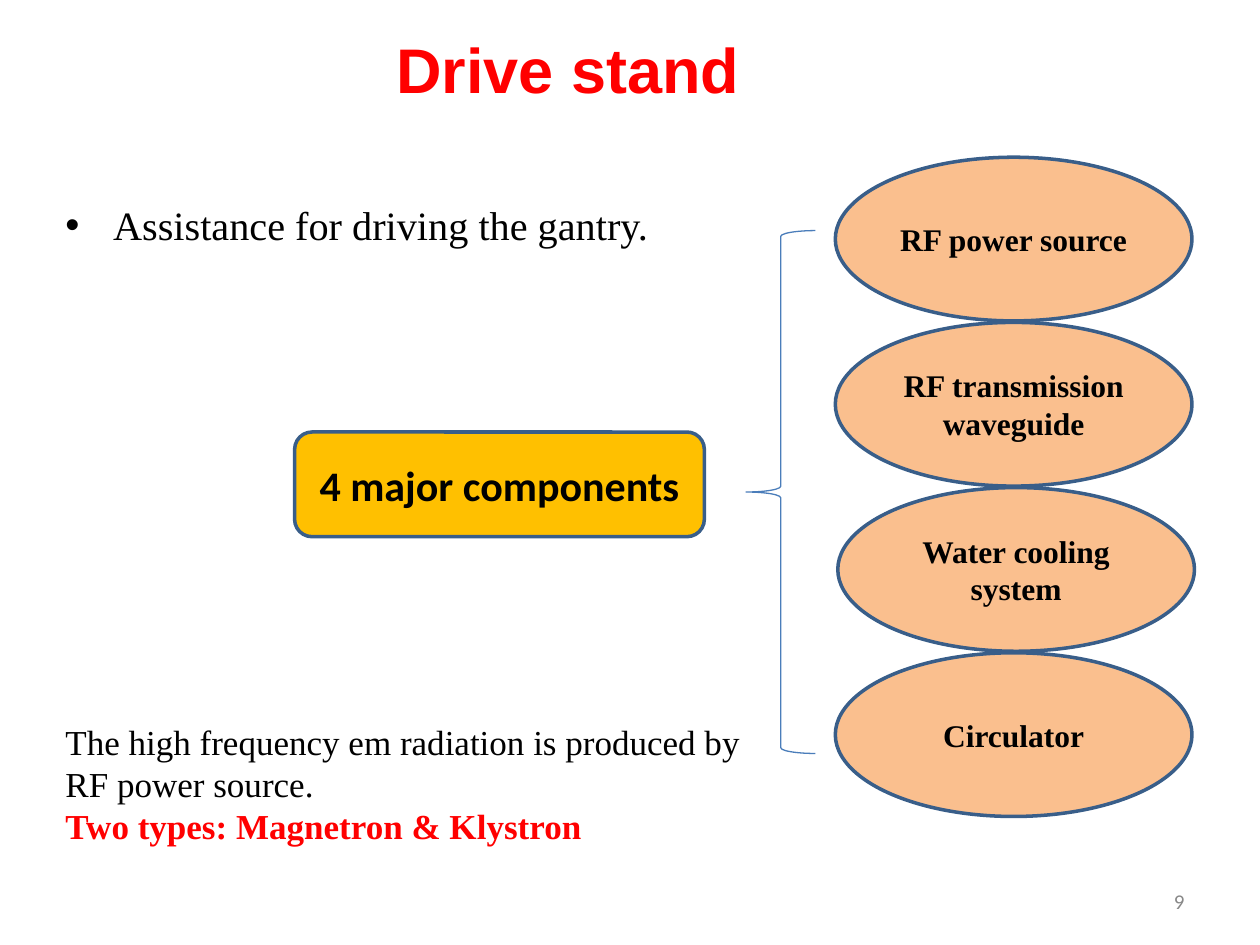
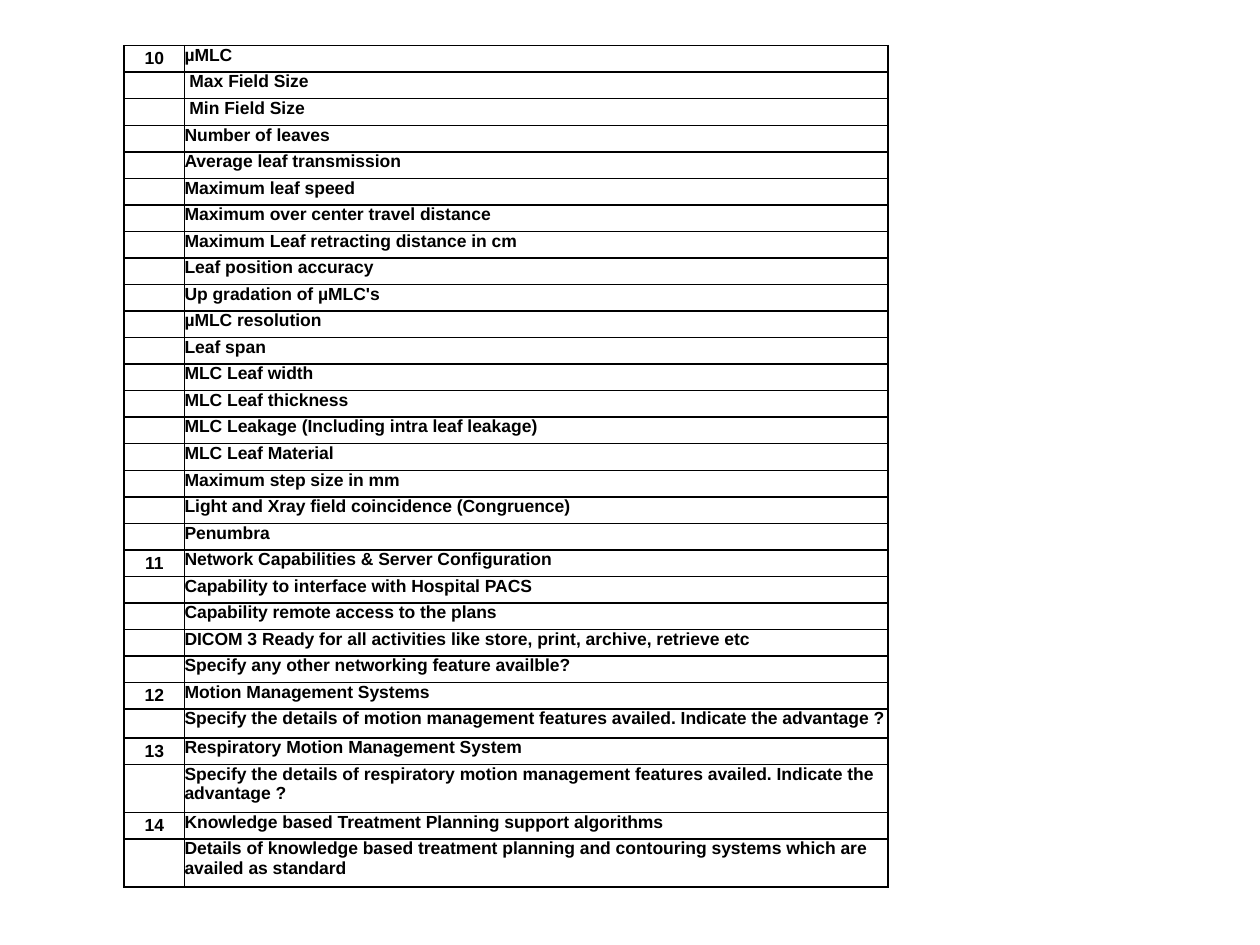
import pptx
import pptx.util
import pptx.dml.color
import pptx.enum.shapes
import pptx.enum.text
import pptx.oxml.ns
from lxml import etree

Cm, Pt = pptx.util.Cm, pptx.util.Pt
ALIGN = pptx.enum.text.PP_ALIGN
ANCHOR = pptx.enum.text.MSO_ANCHOR
SHAPE = pptx.enum.shapes.MSO_SHAPE
qn = pptx.oxml.ns.qn

COLOURS = {
    "heading": "FF0000",
    "text": "000000",
    "ellipse": "FABF8E",
    "hub": "FFC000",
    "outline": "395E89",
    "brace": "4A7DBA",
    "footer": "888888",
    "border": "000000",
}
SERIF, SANS, UI = "Times New Roman", "Arial", "Calibri"

# Ellipse labels with their left edges in cm
COMPONENTS = [
    ("RF power source", 16.84),
    ("RF transmission waveguide", 16.84),
    ("Water cooling system", 16.89),
    ("Circulator", 16.84),
]

# Numbered sections of the specification: number, heading, items
SECTIONS = [
    ("10", "µMLC", [
        "Max Field Size",
        "Min Field Size",
        "Number of leaves",
        "Average leaf transmission",
        "Maximum leaf speed",
        "Maximum over center travel distance",
        "Maximum Leaf retracting distance in cm",
        "Leaf position accuracy",
        "Up gradation of µMLC's",
        "µMLC resolution",
        "Leaf span",
        "MLC Leaf width",
        "MLC Leaf thickness",
        "MLC Leakage (Including intra leaf leakage)",
        "MLC Leaf Material",
        "Maximum step size in mm",
        "Light and Xray field coincidence (Congruence)",
        "Penumbra",
    ]),
    ("11", "Network Capabilities & Server Configuration", [
        "Capability to interface with Hospital PACS",
        "Capability remote access to the plans",
        "DICOM 3 Ready for all activities like store, print, archive, retrieve etc",
        "Specify any other networking feature availble?",
    ]),
    ("12", "Motion Management Systems", [
        "Specify the details of motion management features availed. Indicate the advantage ?",
    ]),
    ("13", "Respiratory Motion Management System", [
        "Specify the details of respiratory motion management features availed. "
        "Indicate the advantage ?",
    ]),
    ("14", "Knowledge based Treatment Planning support algorithms", [
        "Details of knowledge based treatment planning and contouring systems "
        "which are availed as standard",
    ]),
]
INDENTED_ITEMS = ("Max Field Size", "Min Field Size")
ROW_HEIGHT = int(Cm(13.38) / 25)
TALL_ROWS = {25: Cm(0.58), 27: Cm(0.97), 29: Cm(0.97)}


def rgb(name):
    return pptx.dml.color.RGBColor.from_string(COLOURS[name])


def write(paragraph, text, size=18, font=SERIF, colour="text", bold=False,
          align=ALIGN.LEFT):
    """Put one formatted run in a paragraph."""
    paragraph.alignment = align
    run = paragraph.add_run()
    run.text = text
    run.font.size = Pt(size)
    run.font.name = font
    run.font.bold = bold
    run.font.color.rgb = rgb(colour)


def add_bullet(paragraph, indent):
    properties = paragraph._p.get_or_add_pPr()
    properties.set("marL", str(indent))
    properties.set("indent", str(-indent))
    etree.SubElement(properties, qn("a:buFont"), typeface=SANS)
    etree.SubElement(properties, qn("a:buChar"), char="•")


def add_text_box(slide, left, top, width, height, anchor=ANCHOR.TOP):
    frame = slide.shapes.add_textbox(Cm(left), Cm(top), Cm(width), Cm(height)).text_frame
    frame.word_wrap = True
    frame.vertical_anchor = anchor
    return frame


def add_figure(slide, kind, left, top, width, height, fill=None,
               line="outline", weight=2):
    figure = slide.shapes.add_shape(kind, Cm(left), Cm(top), Cm(width), Cm(height))
    figure.shadow.inherit = False
    if fill:
        figure.fill.solid()
        figure.fill.fore_color.rgb = rgb(fill)
    else:
        figure.fill.background()
    figure.line.color.rgb = rgb(line)
    figure.line.width = Pt(weight)
    return figure


def add_label(figure, text, **style):
    figure.text_frame.vertical_anchor = ANCHOR.MIDDLE
    write(figure.text_frame.paragraphs[0], text, bold=True, align=ALIGN.CENTER, **style)


def add_borders(cell):
    properties = cell._tc.get_or_add_tcPr()
    for side in ("lnL", "lnR", "lnT", "lnB"):
        border = etree.SubElement(properties, qn(f"a:{side}"), w=str(Pt(1)))
        fill = etree.SubElement(border, qn("a:solidFill"))
        etree.SubElement(fill, qn("a:srgbClr"), val=COLOURS["border"])


def fill_cell(cell, text, **style):
    cell.margin_left = cell.margin_right = cell.margin_top = cell.margin_bottom = 0
    add_borders(cell)
    cell.fill.background()
    paragraph = cell.text_frame.paragraphs[0]
    if text:
        write(paragraph, text, size=10, font=SANS, bold=True, **style)
    else:
        # A small end mark keeps an empty cell from stretching its row
        etree.SubElement(paragraph._p, qn("a:endParaRPr"), sz="1000")


def build_drive_stand(deck):
    slide = deck.slides.add_slide(deck.slide_layouts[5])

    # Title
    title = slide.shapes.title
    title.left, title.top, title.width, title.height = Cm(0.5), Cm(0.46), Cm(21.9), Cm(1.85)
    title.text_frame.vertical_anchor = ANCHOR.MIDDLE
    write(title.text_frame.paragraphs[0], "Drive stand", size=36, font=SANS,
          colour="heading", bold=True, align=ALIGN.CENTER)

    # Purpose of the stand
    purpose = add_text_box(slide, 1.07, 3.84, 13.13, 1.6)
    purpose.margin_top = Cm(0.2)
    add_bullet(purpose.paragraphs[0], Cm(0.96))
    write(purpose.paragraphs[0], "Assistance for driving the gantry.", size=23)

    # Components in a column, braced to their heading
    for row, (name, left) in enumerate(COMPONENTS):
        component = add_figure(slide, SHAPE.OVAL, left, 3.17 + 3.33 * row, 7.19, 3.3,
                               fill="ellipse")
        add_label(component, name)
    hub = add_figure(slide, SHAPE.ROUNDED_RECTANGLE, 5.94, 8.71, 8.26, 2.11, fill="hub")
    add_label(hub, "4 major components", size=24, font=UI)
    add_figure(slide, SHAPE.LEFT_BRACE, 15.04, 4.65, 1.4, 10.54, line="brace", weight=0.75)

    # Radiation source note
    note = add_text_box(slide, 1.07, 14.4, 14.38, 2.82)
    write(note.paragraphs[0],
          "The high frequency em radiation is produced by RF power source.", size=20)
    write(note.add_paragraph(), "Two types: Magnetron & Klystron", size=20,
          colour="heading", bold=True)

    # Page number
    page = add_text_box(slide, 18.21, 17.65, 5.92, 1.02, anchor=ANCHOR.MIDDLE)
    write(page.paragraphs[0], "9", size=12, font=UI, colour="footer", align=ALIGN.RIGHT)


def build_specification(deck):
    slide = deck.slides.add_slide(deck.slide_layouts[6])
    rows = []
    for number, heading, items in SECTIONS:
        rows.append((number, heading))
        rows.extend(("", item) for item in items)

    heights = [TALL_ROWS.get(index, ROW_HEIGHT) for index in range(len(rows))]
    specification = slide.shapes.add_table(
        len(rows), 2, Cm(2.5), Cm(0.92), Cm(15.4), sum(heights)).table
    specification.first_row = specification.horz_banding = False
    specification.columns[0].width = Cm(1.22)
    specification.columns[1].width = Cm(14.18)

    for index, (number, item) in enumerate(rows):
        specification.rows[index].height = heights[index]
        number_cell, item_cell = specification.rows[index].cells
        fill_cell(number_cell, number, align=ALIGN.CENTER)
        number_cell.vertical_anchor = ANCHOR.MIDDLE
        fill_cell(item_cell, item)
        if item in INDENTED_ITEMS:
            item_cell.margin_left = Cm(0.1)


def main():
    deck = pptx.Presentation()
    deck.slide_width, deck.slide_height = Cm(25.4), Cm(19.05)
    build_drive_stand(deck)
    build_specification(deck)
    deck.save("out.pptx")


if __name__ == "__main__":
    main()
